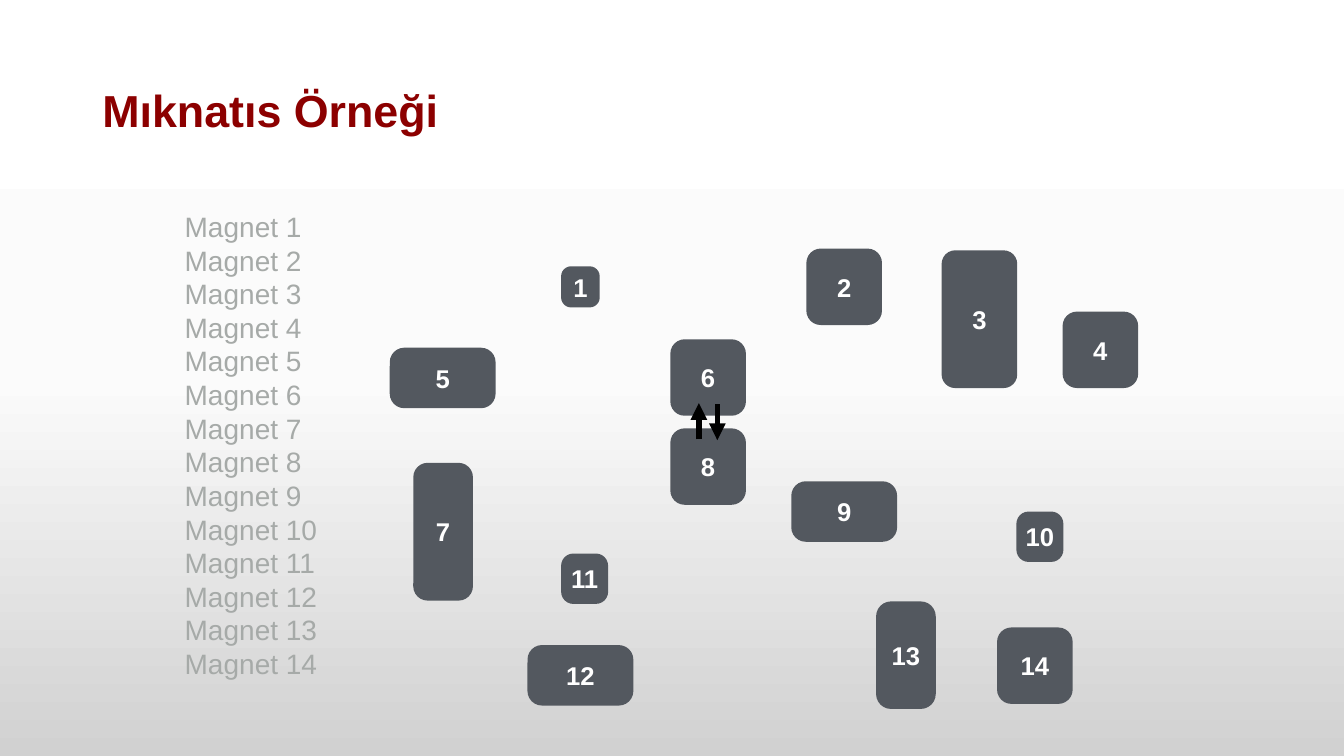
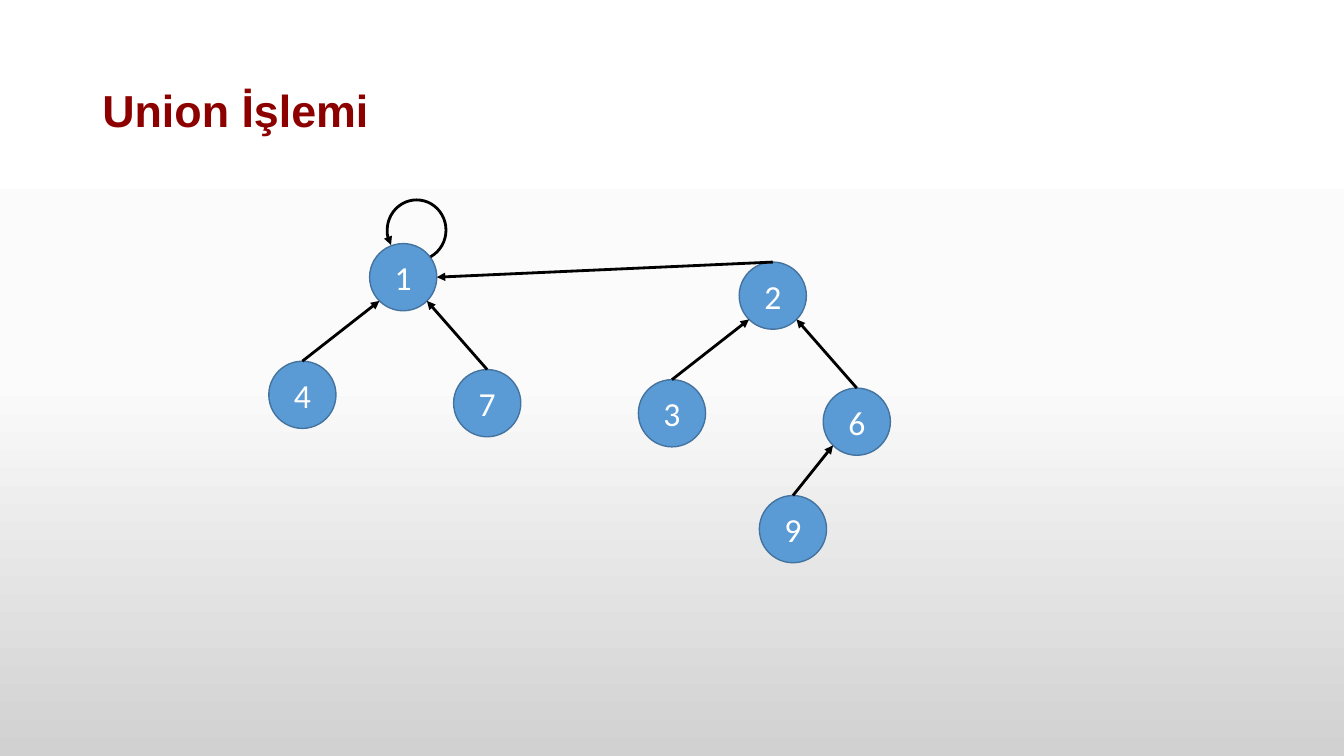
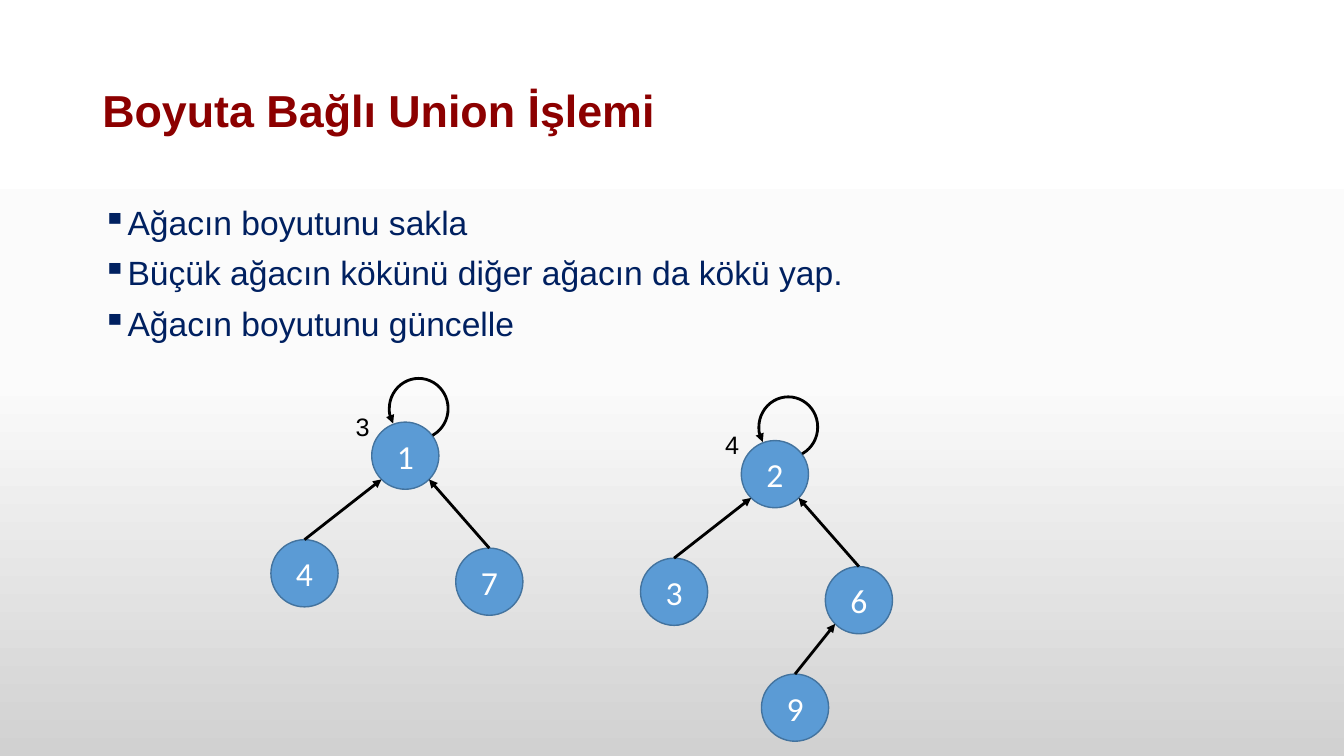
import copy
import math

import lxml.etree
import pptx
import pptx.dml.color
import pptx.enum.shapes
import pptx.enum.text
import pptx.oxml.ns
import pptx.util

COLS, ROWS = 160, 90
INK = {
    "title": "8C0000", "body": "002060", "list": "A6AAA8", "magnet": "53585F",
    "node": "5B9BD5", "rim": "43739E", "line": "000000", "white": "FFFFFF",
}
BACK = [(0, "FFFFFF"), (0.5, "FBFBFB"), (1, "D1D1D1")]
NODE = 8
SIZES = {
    "dot": (4.6, 4.9, 0.26), "mini": (5.6, 6, 0.26), "square": (9, 9.1, 0.19),
    "tall": (9, 16.4, 0.18), "wide": (12.6, 7.2, 0.24),
    "slim": (7.1, 16.4, 0.24), "short": (7.1, 12.8, 0.25),
}
MAGNETS = [
    ("dot", 66.8, 31.7), ("square", 96, 29.6), ("tall", 112.1, 29.8),
    ("square", 126.5, 37.1), ("wide", 46.4, 41.4), ("square", 79.8, 40.4),
    ("slim", 49.2, 55.1), ("square", 79.8, 51), ("wide", 94.2, 57.3),
    ("mini", 121, 60.9), ("mini", 66.8, 65.9), ("wide", 62.8, 76.8),
    ("short", 104.3, 71.6), ("square", 118.7, 74.7),
]
KIND = pptx.enum.shapes.MSO_SHAPE
ALIGN = pptx.enum.text.PP_ALIGN
ANCHOR = pptx.enum.text.MSO_ANCHOR


def rgb(code):
    return pptx.dml.color.RGBColor.from_string(code)


def add(parent, tag, **attrs):
    return lxml.etree.SubElement(parent, pptx.oxml.ns.qn(tag), **attrs)


def write(shape, lines, size=24, font="Arial", color="white", bold=False, align=None,
          anchor=ANCHOR.TOP, inset=None, space=None, before=0, bullet=None):
    frame = shape.text_frame
    frame.word_wrap = True
    frame.vertical_anchor = anchor
    if inset is not None:
        frame.margin_left = frame.margin_right = pptx.util.Inches(inset)
        frame.margin_top = frame.margin_bottom = pptx.util.Inches(inset)
    for row, line in enumerate(lines):
        para = frame.add_paragraph() if row else frame.paragraphs[0]
        if bullet:
            props = para._p.get_or_add_pPr()
            indent = pptx.util.Inches(0.25)
            props.set("marL", str(indent))
            props.set("indent", str(-indent))
            add(props, "a:buChar", char=bullet)
        if align is not None:
            para.alignment = align
        if space:
            para.line_spacing = space
        if row and before:
            para.space_before = pptx.util.Pt(before)
        run = para.add_run()
        run.text = line
        run.font.name = font
        run.font.size = pptx.util.Pt(size)
        run.font.bold = bold
        run.font.color.rgb = rgb(INK[color])


class Deck:
    """Holds the style and the current slide, measured in grid cells."""

    def __init__(self):
        self.show = pptx.Presentation()
        self.show.slide_width = pptx.util.Inches(13.333)
        self.show.slide_height = pptx.util.Inches(7.5)
        self.wide = self.show.slide_width / COLS
        self.high = self.show.slide_height / ROWS
        self.paint()

    def paint(self):
        master = self.show.slide_master
        fill = master.background.fill
        fill.gradient()
        fill.gradient_angle = 270
        stops = master.element.find(".//" + pptx.oxml.ns.qn("a:gsLst"))
        stops.append(copy.deepcopy(stops[0]))
        for stop, (place, code) in zip(fill.gradient_stops, BACK):
            stop.position = place
            stop.color.rgb = rgb(code)

    def cells(self, *spans):
        units = (self.wide, self.high, self.wide, self.high)
        return [round(span * unit) for span, unit in zip(spans, units)]

    def page(self, title):
        self.slide = self.show.slides.add_slide(self.show.slide_layouts[6])
        self.text(11, 4.8, 138, 17.4, [title], size=32, color="title", bold=True,
                  anchor=ANCHOR.MIDDLE, space=0.9)

    def text(self, x, y, w, h, lines, **style):
        write(self.slide.shapes.add_textbox(*self.cells(x, y, w, h)), lines, **style)

    def shape(self, kind, x, y, w, h, fill=None, line=None, width=1):
        item = self.slide.shapes.add_shape(kind, *self.cells(x, y, w, h))
        item.shadow.inherit = False
        if fill:
            item.fill.solid()
            item.fill.fore_color.rgb = rgb(INK[fill])
        else:
            item.fill.background()
        if line:
            self.stroke(item, line, width)
        else:
            item.line.fill.background()
        return item

    def stroke(self, item, color, width):
        item.line.color.rgb = rgb(INK[color])
        item.line.width = pptx.util.Pt(width)

    def tip(self, item):
        add(item.line._get_or_add_ln(), "a:tailEnd", type="triangle")

    def arrow(self, start, end, width=2):
        line = self.slide.shapes.add_connector(
            pptx.enum.shapes.MSO_CONNECTOR.STRAIGHT, *self.cells(*start, *end))
        self.stroke(line, "line", width)
        self.tip(line)
        add(line._element.spPr, "a:effectLst")

    def magnet(self, name, size, x, y):
        w, h, curve = SIZES[size]
        item = self.shape(KIND.ROUNDED_RECTANGLE, x, y, w, h, "magnet")
        item.adjustments[0] = curve
        write(item, [name], size=18.3, bold=True, align=ALIGN.CENTER,
              anchor=ANCHOR.MIDDLE, inset=0.04)

    def node(self, name, x, y):
        item = self.shape(KIND.OVAL, x, y, NODE, NODE, "node", "rim")
        write(item, [name], font="Calibri", align=ALIGN.CENTER, anchor=ANCHOR.MIDDLE)

    def child(self, name, x, y, dx, dy):
        self.node(name, x + dx, y + dy)
        half = NODE / 2
        reach = half * math.sqrt(0.5)
        end = (x + half + math.copysign(reach, dx), y + half + reach)
        self.arrow((x + dx + half, y + dy), end)

    def tree(self, root, left, right, x, y):
        self.node(root, x, y)
        self.child(left, x, y, -12, 14)
        self.child(right, x, y, 10, 15)

    def loop(self, x, y):
        arc = self.shape(KIND.ARC, x + 2.1, y - 5.2, 7, 7.2, line="line", width=2)
        arc.adjustments[0], arc.adjustments[1] = 70.44, 18.13
        arc._element.spPr.xfrm.set("flipH", "1")
        self.tip(arc)

    def forest(self, one, two):
        self.tree("1", "4", "7", *one)
        self.tree("2", "3", "6", *two)
        self.child("9", two[0] + 10, two[1] + 15, -7.6, 12.8)
        self.loop(*one)


def magnets(deck):
    deck.page("Mıknatıs Örneği")
    names = [f"Magnet {num}" for num in range(1, len(MAGNETS) + 1)]
    deck.text(21.5, 24.2, 24.6, 57.5, names, size=20, color="list",
              anchor=ANCHOR.MIDDLE, inset=0.04)
    for num, magnet in enumerate(MAGNETS, 1):
        deck.magnet(str(num), *magnet)
    deck.arrow((85.4, 48.1), (85.4, 52.4), 4)
    deck.arrow((83.2, 52.3), (83.2, 48), 4)


def union(deck):
    deck.page("Union İşlemi")
    one, two = (44, 29), (88, 31.2)
    deck.forest(one, two)
    deck.arrow((two[0] + NODE / 2, two[1]), (one[0] + NODE, one[1] + NODE / 2))


def sized(deck):
    deck.page("Boyuta Bağlı Union İşlemi")
    rules = ["Ağacın boyutunu sakla", "Büçük ağacın kökünü diğer ağacın da kökü yap.",
             "Ağacın boyutunu güncelle"]
    deck.text(11, 24, 138, 57.1, rules, color="body", align=ALIGN.JUSTIFY,
              space=0.9, before=10, bullet="▪")
    one, two = (44.25, 50.25), (88.25, 52.45)
    deck.forest(one, two)
    deck.loop(*two)
    for count, (x, y) in (("3", one), ("4", two)):
        deck.text(x - 3.1, y - 1.9, 5.3, 4.8, [count], size=18, color="line")


def main():
    deck = Deck()
    for draw in (magnets, union, sized):
        draw(deck)
    deck.show.save("out.pptx")


if __name__ == "__main__":
    main()
